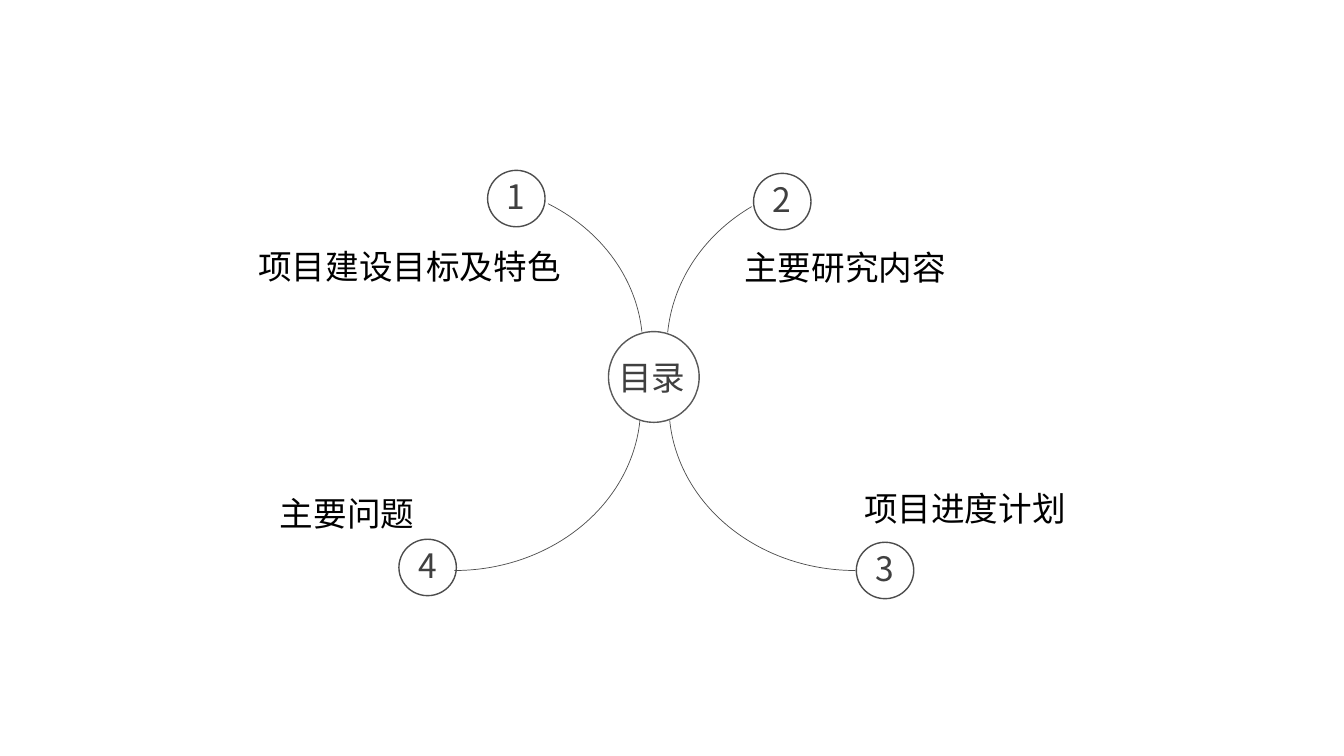
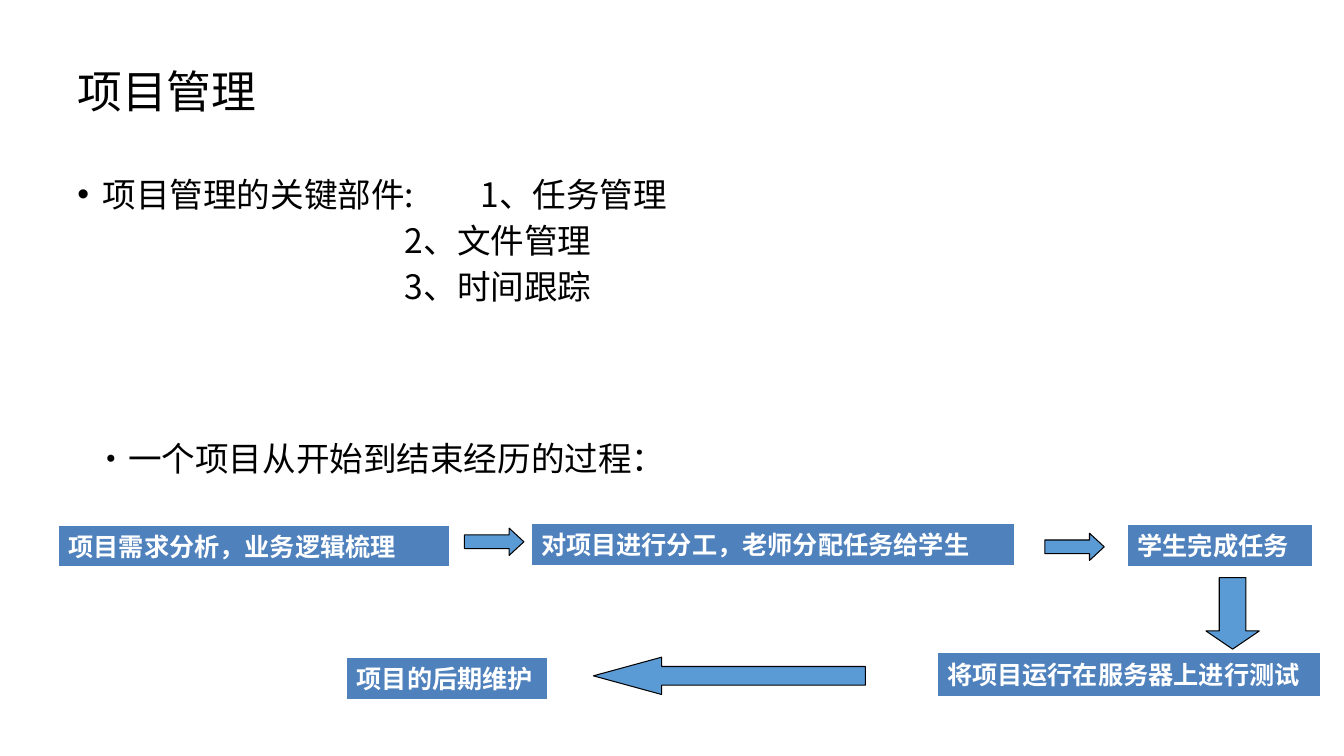
from lxml import etree
from pptx import Presentation
from pptx.dml.color import RGBColor
from pptx.enum.shapes import MSO_SHAPE
from pptx.enum.text import MSO_ANCHOR, PP_ALIGN
from pptx.oxml.ns import qn
from pptx.util import Pt

ELLIPSE, ARC = MSO_SHAPE.OVAL, MSO_SHAPE.ARC
RIGHT, LEFT, DOWN = MSO_SHAPE.RIGHT_ARROW, MSO_SHAPE.LEFT_ARROW, MSO_SHAPE.DOWN_ARROW
TOP, MIDDLE = MSO_ANCHOR.TOP, MSO_ANCHOR.MIDDLE
ALIGN_LEFT, ALIGN_CENTER = PP_ALIGN.LEFT, PP_ALIGN.CENTER
EMU_PER_PX = 9144  # 100 px to the inch
ARC_UNITS_PER_DEGREE = 0.6  # adjustments count 100000ths, angles 60000ths


def px(length):
    return round(length * EMU_PER_PX)


def color(value):
    return RGBColor.from_string(value)


class Deck:
    """Holds the shared style and the slide being built."""

    LATIN, CJK, BULLET = "Calibri", "Noto Sans CJK SC", "Arial"
    BLACK, WHITE, GREY = "000000", "FFFFFF", "404040"
    RING, HUB_RING = "4D4D4D", "595959"
    STEP_FILL, ARROW_FILL = "4F81BD", "5B9BD5"

    def __init__(self):
        self.presentation = Presentation()
        self.presentation.slide_width = px(1334)
        self.presentation.slide_height = px(750)
        self.slide = None

    def new_slide(self):
        self.slide = self.presentation.slides.add_slide(self.presentation.slide_layouts[6])

    def run(self, paragraph, text, size, font, fill, bold=False):
        run = paragraph.add_run()
        run.text = text
        run.font.size = Pt(size)
        run.font.name = font
        run.font.bold = bold
        run.font.color.rgb = color(fill)
        east_asian = etree.SubElement(run.font._element, qn("a:ea"))
        east_asian.set("typeface", self.CJK)

    def text_box(self, box, anchor=TOP):
        frame = self.slide.shapes.add_textbox(*map(px, box)).text_frame
        frame.word_wrap = True
        frame.vertical_anchor = anchor
        return frame

    def label(self, box, text, font=LATIN, align=ALIGN_LEFT):
        paragraph = self.text_box(box).paragraphs[0]
        paragraph.alignment = align
        self.run(paragraph, text, 24, font, self.BLACK)

    def title(self, text):
        paragraph = self.text_box((67, 31, 1200, 125), MIDDLE).paragraphs[0]
        paragraph.line_spacing = 0.9
        self.run(paragraph, text, 32, self.LATIN, self.BLACK)

    def key_parts(self, box, lines, tab):
        """A bulleted first line, then lines indented to one column."""
        frame = self.text_box(box)
        for index, (text, margin) in enumerate(lines):
            paragraph = frame.add_paragraph() if index else frame.paragraphs[0]
            properties = paragraph._p.get_or_add_pPr()
            properties.set("marL", str(px(margin)))
            paragraph.line_spacing = 0.8
            if index:
                paragraph.space_before = Pt(10)
            else:
                properties.set("indent", str(px(-margin)))
                etree.SubElement(properties, qn("a:buFont")).set("typeface", self.BULLET)
                etree.SubElement(properties, qn("a:buChar")).set("char", "•")
                tabs = etree.SubElement(properties, qn("a:tabLst"))
                stop = etree.SubElement(tabs, qn("a:tab"))
                stop.set("pos", str(px(tab)))
                stop.set("algn", "l")
            self.run(paragraph, text, 24, self.CJK, self.BLACK)

    def outlined(self, kind, box, line, width):
        shape = self.slide.shapes.add_shape(kind, *map(px, box))
        shape.shadow.inherit = False
        shape.fill.background()
        shape.line.color.rgb = color(line)
        shape.line.width = Pt(width)
        return shape

    def circle(self, box, text, line, right_inset=0, bottom_inset=0):
        frame = self.outlined(ELLIPSE, box, line, 1).text_frame
        frame.word_wrap = False
        frame.vertical_anchor = MIDDLE
        frame.margin_left = frame.margin_top = 0
        frame.margin_right = px(right_inset)
        frame.margin_bottom = px(bottom_inset)
        paragraph = frame.paragraphs[0]
        paragraph.alignment = ALIGN_CENTER
        self.run(paragraph, text, 24, self.CJK, self.GREY)

    def arc(self, box, start, end):
        """Draws part of an ellipse, clockwise from start to end in degrees."""
        shape = self.outlined(ARC, box, self.RING, 0.5)
        for index, angle in enumerate((start, end)):
            shape.adjustments[index] = angle * ARC_UNITS_PER_DEGREE

    def step(self, box, text):
        """A process step: a table of one cell."""
        table = self.slide.shapes.add_table(1, 1, *map(px, box)).table
        table.first_row = table.horz_banding = False
        cell = table.cell(0, 0)
        for side in ("lnL", "lnR", "lnT", "lnB"):
            border = etree.SubElement(cell._tc.get_or_add_tcPr(), qn(f"a:{side}"))
            border.set("w", str(Pt(0.45)))
            fill = etree.SubElement(border, qn("a:solidFill"))
            etree.SubElement(fill, qn("a:srgbClr")).set("val", self.WHITE)
        cell.fill.solid()
        cell.fill.fore_color.rgb = color(self.STEP_FILL)
        cell.vertical_anchor = MIDDLE
        paragraph = cell.text_frame.paragraphs[0]
        paragraph.line_spacing = 0.9
        self.run(paragraph, text, 18, self.LATIN, self.WHITE, bold=True)

    def arrow(self, kind, box, head):
        shape = self.outlined(kind, box, self.BLACK, 0.75)
        shape.adjustments[0] = 0.5
        shape.adjustments[1] = head
        shape.fill.solid()
        shape.fill.fore_color.rgb = color(self.ARROW_FILL)


def build_contents(deck):
    deck.new_slide()
    # Branches from the hub to the numbers
    for box, start, end in (
        ((268, 181, 370, 327), 302.6, 355.2),
        ((662, 178, 370, 334), 184.7, 234.2),
        ((266, 239, 370, 327), 4.5, 90),
        ((664, 239, 370, 327), 90, 175.5),
    ):
        deck.arc(box, start, end)
    # Numbered circles
    for number, corner in enumerate(((484, 169), (748, 172), (850, 538), (396, 535)), 1):
        deck.circle((*corner, 57, 56), str(number), deck.RING, bottom_inset=5)
    # Chapter names
    deck.label((245, 239, 323, 50), "项目建设目标及特色", align=ALIGN_CENTER)
    deck.label((729, 240, 274, 50), "主要研究内容")
    deck.label((848, 479, 286, 50), "项目进度计划")
    deck.label((268, 484, 238, 50), "主要问题")
    # Hub
    deck.circle((604, 329, 90, 90), "目录", deck.HUB_RING, right_inset=4)


def build_management(deck):
    deck.new_slide()
    deck.title("项目管理")
    # Key parts
    deck.key_parts((67, 175, 1200, 163), (
        ("项目管理的关键部件:\t1、任务管理", 25),
        ("2、文件管理", 325),
        ("3、时间跟踪", 325),
    ), tab=400)
    # Process steps
    deck.label((84, 430, 815, 50), "·一个项目从开始到结束经历的过程：", deck.CJK)
    for box, text in (
        ((58, 521, 388, 41), "项目需求分析，业务逻辑梳理"),
        ((527, 519, 480, 42), "对项目进行分工，老师分配任务给学生"),
        ((1119, 520, 184, 42), "学生完成任务"),
        ((930, 647, 380, 44), "将项目运行在服务器上进行测试"),
        ((344, 652, 199, 42), "项目的后期维护"),
    ):
        deck.step(box, text)
    # Arrows between the steps
    for kind, box, head in (
        (RIGHT, (461, 524, 59, 27), 0.54),
        (RIGHT, (1037, 529, 59, 27), 0.54),
        (DOWN, (1197, 573, 53, 71), 0.34),
        (LEFT, (589, 652, 270, 37), 1.83),
    ):
        deck.arrow(kind, box, head)


def main():
    deck = Deck()
    build_contents(deck)
    build_management(deck)
    deck.presentation.save("out.pptx")


if __name__ == "__main__":
    main()
